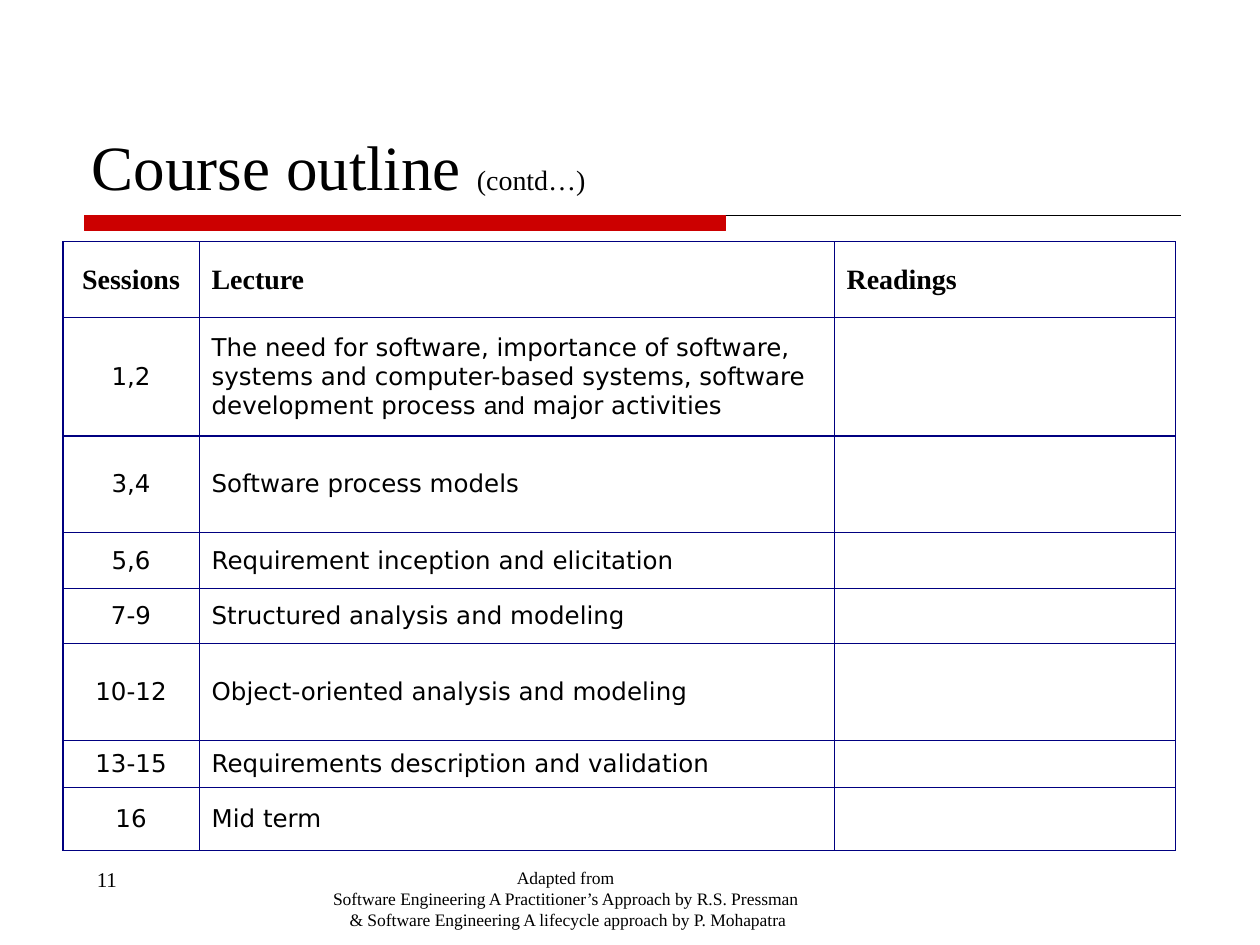
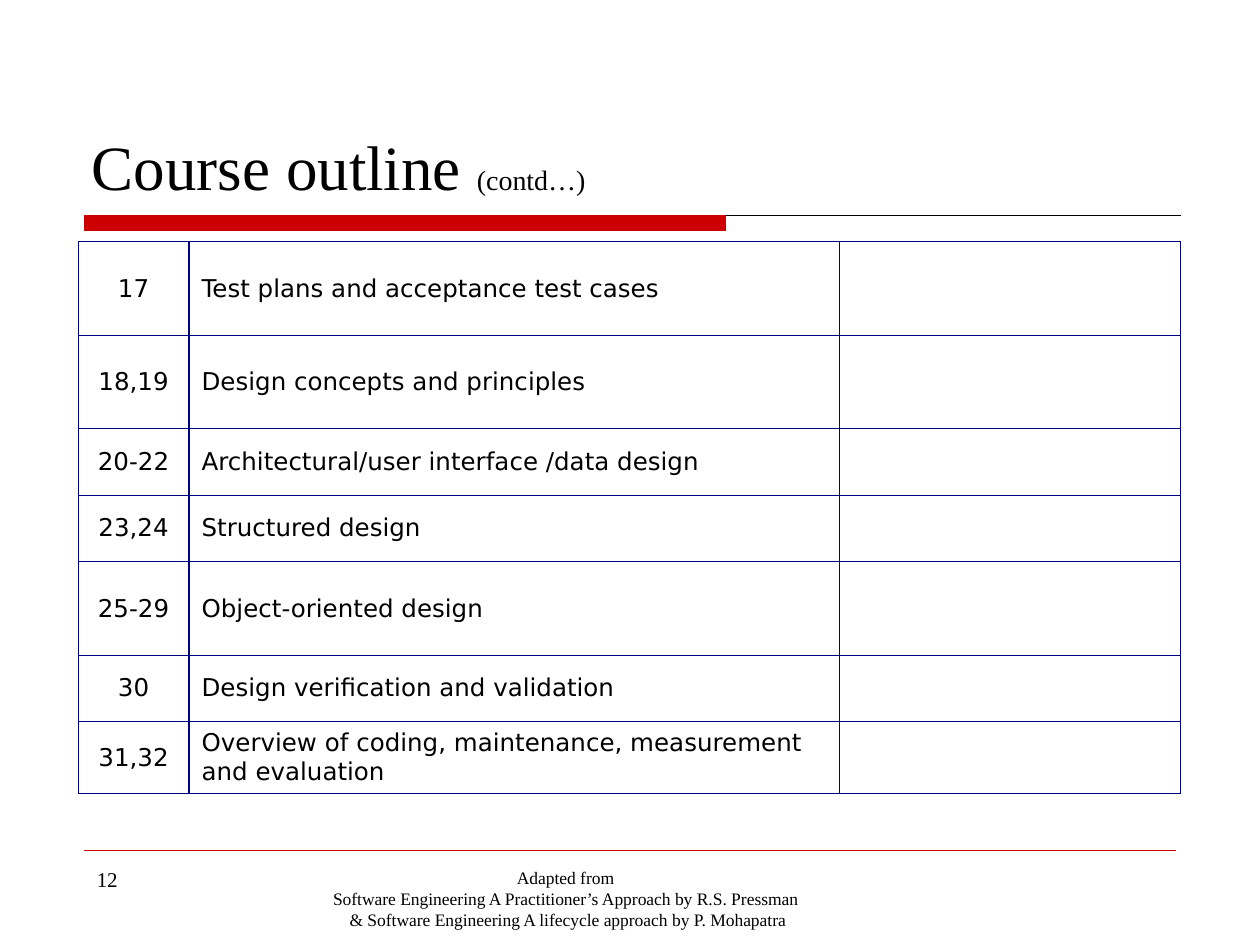
from dataclasses import dataclass
from typing import NamedTuple

from lxml import etree
from pptx import Presentation
from pptx.dml.color import RGBColor
from pptx.enum.shapes import MSO_CONNECTOR, MSO_SHAPE
from pptx.enum.text import MSO_ANCHOR, MSO_AUTO_SIZE, PP_ALIGN
from pptx.oxml.ns import qn
from pptx.util import Inches, Pt

LEFT, CENTER = PP_ALIGN.LEFT, PP_ALIGN.CENTER
TOP, MIDDLE, BOTTOM = MSO_ANCHOR.TOP, MSO_ANCHOR.MIDDLE, MSO_ANCHOR.BOTTOM
NO_AUTOFIT = MSO_AUTO_SIZE.NONE
RECTANGLE = MSO_SHAPE.RECTANGLE
STRAIGHT = MSO_CONNECTOR.STRAIGHT

RED, BLACK, NAVY = "CC0000", "000000", "000080"
SERIF, SANS, ARIAL = "Times New Roman", "DejaVu Sans", "Arial"
TITLE_ONLY = 5
RULE_WIDTH = 0.75
TABLE_TOP = 1.92
READINGS_WIDTH = 2.71
SOURCES = [
    "Adapted from ",
    "Software Engineering A Practitioner’s Approach by R.S. Pressman ",
    "& Software Engineering A lifecycle approach by P. Mohapatra",
]


class Style(NamedTuple):
    size: float
    font: str
    bold: bool = False


class Piece(NamedTuple):
    text: str
    style: Style


TITLE = Style(36, SERIF)
CONTINUED = Style(16, SERIF)
HEADING = Style(16, SERIF, True)
BODY = Style(14, SANS)
BODY_ARIAL = Style(14, ARIAL)
PAGE_NUMBER = Style(12, SERIF)
SOURCE = Style(10, SERIF)


class Row(NamedTuple):
    height: float
    sessions: str
    lecture: list[Piece]
    readings: str = ""
    style: Style = BODY


@dataclass
class Outline:
    page: int
    left: float
    sessions_width: float
    lecture_width: float
    rows: list[Row]


def lecture(height: float, sessions: str, topic: str) -> Row:
    return Row(height, sessions, [Piece(topic, BODY)])


OUTLINES = [
    Outline(11, 0.5, 1.08, 5.04, [
        Row(0.6, "Sessions", [Piece("Lecture", HEADING)], "Readings", HEADING),
        Row(0.94, "1,2", [
            Piece("The need for software, importance of software, systems and "
                  "computer-based systems, software development process ", BODY),
            Piece("and", BODY_ARIAL),
            Piece(" major activities", BODY),
        ]),
        lecture(0.77, "3,4", "Software process models"),
        lecture(0.44, "5,6", "Requirement inception and elicitation"),
        lecture(0.44, "7-9", "Structured analysis and modeling"),
        lecture(0.77, "10-12", "Object-oriented analysis and modeling"),
        lecture(0.37, "13-15", "Requirements description and validation"),
        lecture(0.5, "16", "Mid term"),
    ]),
    Outline(12, 0.62, 0.88, 5.16, [
        lecture(0.74, "17", "Test plans and acceptance test cases"),
        lecture(0.74, "18,19", "Design concepts and principles"),
        lecture(0.53, "20-22", "Architectural/user interface /data design"),
        lecture(0.53, "23,24", "Structured design"),
        lecture(0.74, "25-29", "Object-oriented design"),
        lecture(0.53, "30", "Design verification and validation"),
        lecture(0.57, "31,32",
                "Overview of coding, maintenance, measurement and evaluation"),
    ]),
]


def color(hex_value: str) -> RGBColor:
    return RGBColor.from_string(hex_value)


def format_run(run, style: Style) -> None:
    run.font.size = Pt(style.size)
    run.font.name = style.font
    run.font.bold = style.bold
    run.font.color.rgb = color(BLACK)


def write_pieces(paragraph, pieces: list[Piece], align=LEFT) -> None:
    paragraph.alignment = align
    for piece in pieces:
        run = paragraph.add_run()
        run.text = piece.text
        format_run(run, piece.style)


def add_rule(slide, left: float, right: float, y: float, hex_value: str) -> None:
    rule = slide.shapes.add_connector(
        STRAIGHT, Inches(left), Inches(y), Inches(right), Inches(y))
    rule.line.color.rgb = color(hex_value)
    rule.line.width = Pt(RULE_WIDTH)
    etree.SubElement(rule._element.spPr, qn("a:effectLst"))


def add_title_band(slide) -> None:
    add_rule(slide, 0.67, 9.37, 1.71, BLACK)
    band = slide.shapes.add_shape(
        RECTANGLE, Inches(0.67), Inches(1.71), Inches(5.09), Inches(0.12))
    band.shadow.inherit = False
    band.fill.solid()
    band.fill.fore_color.rgb = color(RED)
    band.line.color.rgb = color(RED)
    band.line.width = Pt(RULE_WIDTH)


def add_note(slide, left: float, width: float, height: float,
             lines: list[str], style: Style, align) -> None:
    note = slide.shapes.add_textbox(
        Inches(left), Inches(6.83), Inches(width), Inches(height))
    frame = note.text_frame
    frame.word_wrap = True
    frame.vertical_anchor = TOP
    frame.text = "\n".join(lines)
    for paragraph in frame.paragraphs:
        paragraph.alignment = align
        for run in paragraph.runs:
            format_run(run, style)


def add_footer(slide, page: int) -> None:
    add_rule(slide, 0.67, 9.33, 6.75, RED)
    add_note(slide, 0.67, 2.17, 0.52, [str(page)], PAGE_NUMBER, LEFT)
    add_note(slide, 2.42, 4.17, 0.42, SOURCES, SOURCE, CENTER)


def set_title(slide) -> None:
    title = slide.shapes.title
    title.left, title.top = Inches(0.63), Inches(0.33)
    title.width, title.height = Inches(8.75), Inches(1.33)
    frame = title.text_frame
    frame.auto_size = NO_AUTOFIT
    frame.vertical_anchor = BOTTOM
    write_pieces(frame.paragraphs[0], [
        Piece("Course outline ", TITLE), Piece("(contd…)", CONTINUED)])


def set_borders(cell) -> None:
    properties = cell._tc.get_or_add_tcPr()
    for index, side in enumerate(("lnL", "lnR", "lnT", "lnB")):
        border = etree.Element(qn(f"a:{side}"), w=str(Pt(RULE_WIDTH)))
        fill = etree.SubElement(border, qn("a:solidFill"))
        etree.SubElement(fill, qn("a:srgbClr"), val=NAVY)
        properties.insert(index, border)


def fill_cell(cell, pieces: list[Piece], align) -> None:
    cell.fill.background()
    cell.vertical_anchor = MIDDLE
    set_borders(cell)
    paragraph = cell.text_frame.paragraphs[0]
    write_pieces(paragraph, pieces, align)
    if not pieces:
        etree.SubElement(paragraph._p, qn("a:endParaRPr"), sz=str(BODY.size * 100))


def add_schedule(slide, outline: Outline) -> None:
    widths = [outline.sessions_width, outline.lecture_width, READINGS_WIDTH]
    schedule = slide.shapes.add_table(
        len(outline.rows), len(widths), Inches(outline.left), Inches(TABLE_TOP),
        Inches(sum(widths)), Inches(sum(row.height for row in outline.rows))).table
    schedule.first_row = False
    schedule.horz_banding = False
    for column, width in zip(schedule.columns, widths):
        column.width = Inches(width)
    for index, row in enumerate(outline.rows):
        schedule.rows[index].height = Inches(row.height)
        readings = [Piece(row.readings, row.style)] if row.readings else []
        fill_cell(schedule.cell(index, 0), [Piece(row.sessions, row.style)], CENTER)
        fill_cell(schedule.cell(index, 1), row.lecture, LEFT)
        fill_cell(schedule.cell(index, 2), readings, LEFT)


def main() -> None:
    presentation = Presentation()
    presentation.slide_width = Inches(10)
    presentation.slide_height = Inches(7.5)
    for outline in OUTLINES:
        slide = presentation.slides.add_slide(presentation.slide_layouts[TITLE_ONLY])
        set_title(slide)
        add_title_band(slide)
        add_footer(slide, outline.page)
        add_schedule(slide, outline)
    presentation.save("out.pptx")


if __name__ == "__main__":
    main()
